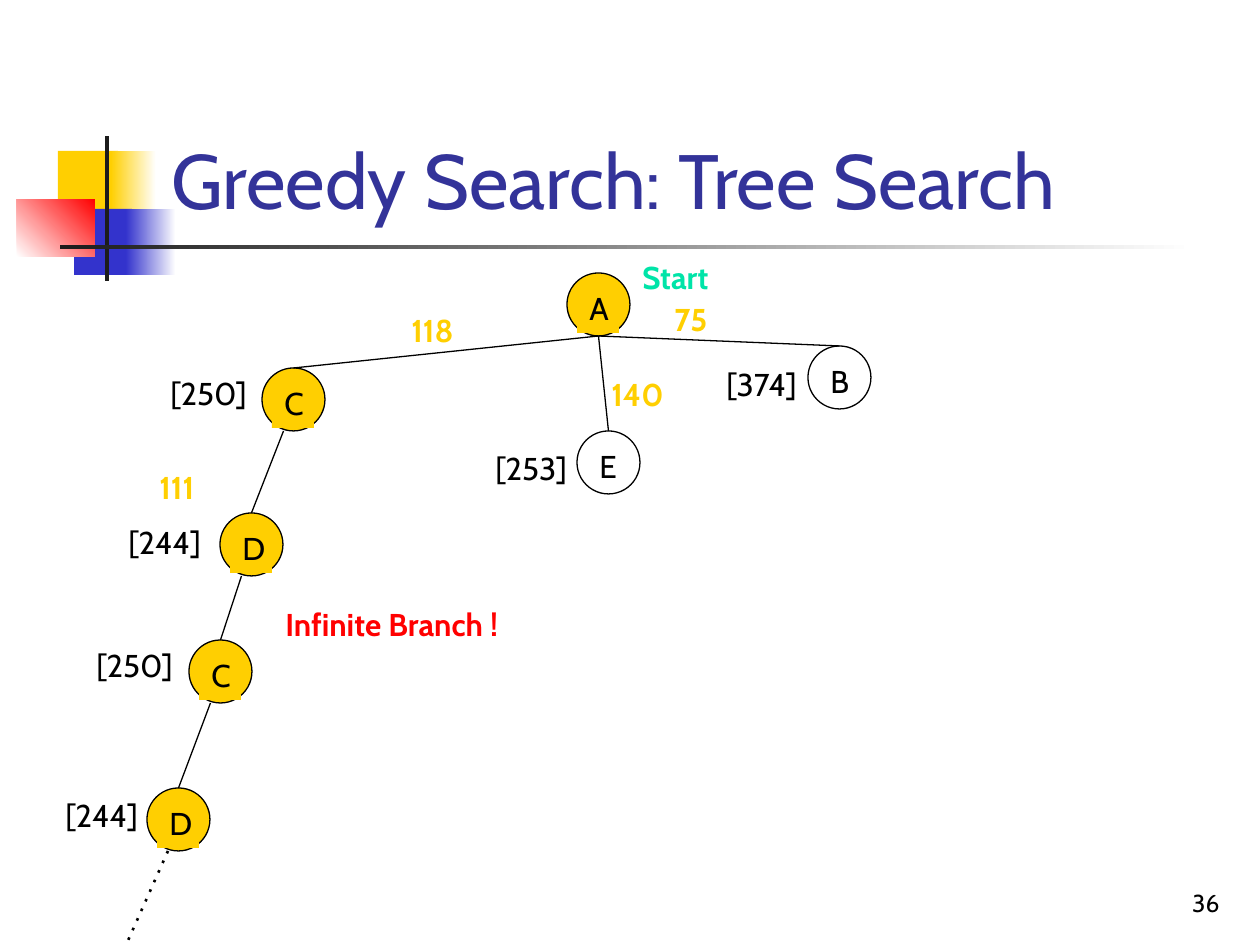
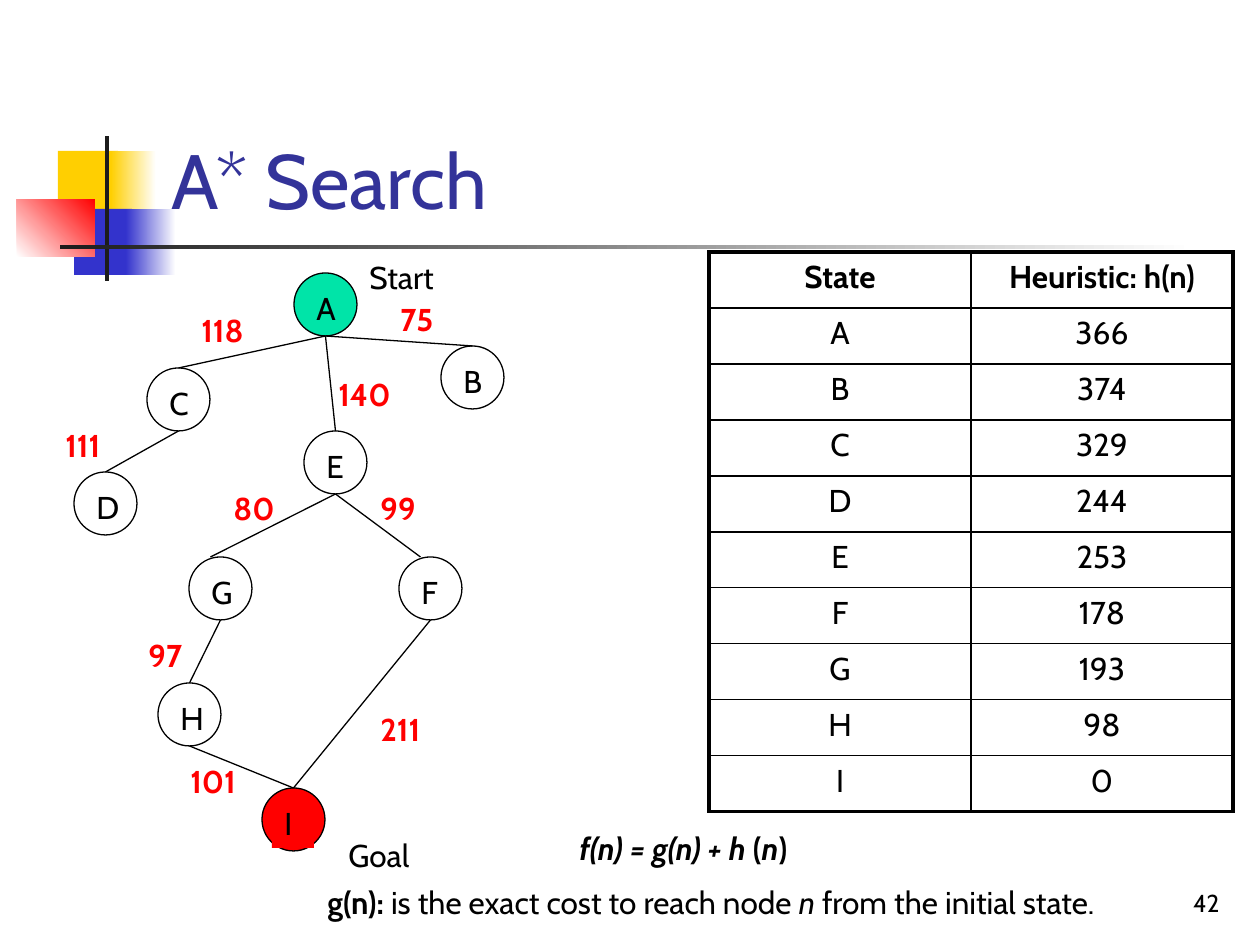
from pptx import Presentation
from pptx.dml.color import RGBColor
from pptx.enum.dml import MSO_LINE
from pptx.enum.shapes import MSO_CONNECTOR as Connector, MSO_SHAPE as Shape
from pptx.enum.text import MSO_ANCHOR as Anchor, PP_ALIGN as Align
from pptx.oxml.ns import qn
from pptx.oxml.xmlchemy import OxmlElement
from pptx.util import Pt

EMU_PER_PX = 914400 / 126
SLIDE_W, SLIDE_H = 1260, 945
FONT = "Cabin"

BLACK = RGBColor(0x00, 0x00, 0x00)
WHITE = RGBColor(0xFF, 0xFF, 0xFF)
GOLD = RGBColor(0xFF, 0xCF, 0x01)
BLUE = RGBColor(0x33, 0x33, 0xCC)
RED = RGBColor(0xFF, 0x00, 0x00)
GREEN = RGBColor(0x00, 0xE4, 0xA8)
CHARCOAL = RGBColor(0x1C, 0x1C, 0x1C)
TITLE_BLUE = RGBColor(0x33, 0x33, 0x99)

NODE_SIZE = 63
LABEL_INSET, LABEL_W, TEXT_H = 10, 42, 50

# Title decoration: box, start colour, end colour (None for plain), angle
DECORATION = [
    ((58, 151, 60, 66), GOLD, None, 0),
    ((111, 151, 45, 66), GOLD, WHITE, 0),
    ((74, 209, 58, 66), BLUE, None, 0),
    ((126, 209, 50, 66), BLUE, WHITE, 0),
    ((17, 199, 78, 58), WHITE, RED, 45),
    ((105, 136, 4, 145), CHARCOAL, None, 0),
    ((60, 245, 1134, 4), CHARCOAL, WHITE, 0),
]

# Greedy tree: the node name's first letter is its label
GREEDY_NODES = {
    "A": (567, 273), "B": (808, 346), "C": (262, 368), "E": (577, 431),
    "D": (220, 513), "C2": (189, 640), "D2": (147, 788),
}
GREEDY_FILLS = {name: GOLD for name in ("A", "C", "D", "C2", "D2")}
# Edge: parent, child, shift at the parent, shift at the child
GREEDY_EDGES = [
    ("A", "B", 0, 0), ("A", "E", 0, 0), ("A", "C", 0, 0),
    ("C", "D", -10, 0), ("D", "C2", -10, 0), ("C2", "D2", -10, 0),
]
GREEDY_COSTS = [("118", 399, 305), ("75", 662, 294), ("140", 599, 369),
                ("111", 147, 462)]
GREEDY_ESTIMATES = [
    ("[374]", 714, 359), ("[250]", 158, 368), ("[253]", 483, 443),
    ("[244]", 116, 517), ("[250]", 84, 640), ("[244]", 53, 790),
]

# A* graph
ASTAR_NODES = {
    "A": (294, 273), "B": (441, 346), "D": (74, 472), "C": (147, 368),
    "E": (304, 431), "F": (399, 557), "I": (262, 788), "G": (189, 557),
    "H": (158, 683),
}
ASTAR_FILLS = {"A": GREEN, "I": RED}
ASTAR_EDGES = [
    ("A", "B", 0, 0), ("A", "E", 0, 0), ("A", "C", 0, 0), ("C", "D", 0, 0),
    ("E", "F", 0, -10), ("E", "G", 0, -10), ("F", "I", 0, 0),
    ("G", "H", 0, 0), ("H", "I", 0, 0),
]
ASTAR_COSTS = [
    ("118", 189, 305), ("75", 388, 294), ("140", 326, 369),
    ("111", 53, 420), ("80", 221, 483), ("99", 368, 483),
    ("97", 136, 630), ("211", 368, 704), ("101", 178, 756),
]
HEURISTICS = [
    ("State", "Heuristic: h(n)"), ("A", "366"), ("B", "374"), ("C", "329"),
    ("D", "244"), ("E", "253"), ("F", "178"), ("G", "193"), ("H", "98"),
    ("I", "0"),
]


def px(length):
    return round(length * EMU_PER_PX)


def emu(box):
    return [px(length) for length in box]


def add_run(paragraph, text, size=18, color=BLACK, bold=False, italic=False):
    run = paragraph.add_run()
    run.text = text
    font = run.font
    font.name, font.size, font.bold, font.italic = FONT, Pt(size), bold, italic
    font.color.rgb = color


def add_text(slide, box, text, align=Align.LEFT, anchor=Anchor.TOP,
             fill=None, **style):
    text_box = slide.shapes.add_textbox(*emu(box))
    if fill is not None:
        text_box.fill.solid()
        text_box.fill.fore_color.rgb = fill
    frame = text_box.text_frame
    frame.word_wrap = True
    frame.vertical_anchor = anchor
    frame.paragraphs[0].alignment = align
    add_run(frame.paragraphs[0], text, **style)


def add_band(slide, box, start, end, angle):
    band = slide.shapes.add_shape(Shape.RECTANGLE, *emu(box))
    band.shadow.inherit = False
    band.line.fill.background()
    if end is None:
        band.fill.solid()
        band.fill.fore_color.rgb = start
        return
    band.fill.gradient()
    band.fill.gradient_angle = angle
    for stop, color in zip(band.fill.gradient_stops, (start, end)):
        stop.color.rgb = color


def add_base(prs, title, number):
    """Start a slide with the shared decoration, title and number."""
    slide = prs.slides.add_slide(prs.slide_layouts[6])
    for band in DECORATION:
        add_band(slide, *band)
    add_text(slide, (970, 861, 262, 63), number, Align.RIGHT, Anchor.BOTTOM,
             size=14)
    add_text(slide, (159, 29, 1074, 202), title, anchor=Anchor.BOTTOM,
             size=44, color=TITLE_BLUE)
    return slide


def add_node(slide, label, left, top, fill, plate):
    circle = slide.shapes.add_shape(
        Shape.OVAL, *emu((left, top, NODE_SIZE, NODE_SIZE)))
    circle.shadow.inherit = False
    circle.line.color.rgb = BLACK
    circle.line.width = Pt(0.75)
    if fill is None:
        circle.fill.background()
    else:
        circle.fill.solid()
        circle.fill.fore_color.rgb = fill
    add_text(slide, (left + LABEL_INSET, top + LABEL_INSET, LABEL_W, TEXT_H),
             label, fill=plate)


def add_edge(slide, start, end, width=0.75, dotted=False):
    edge = slide.shapes.add_connector(Connector.STRAIGHT, *emu(start + end))
    edge.line.color.rgb = BLACK
    edge.line.width = Pt(width)
    properties = edge.element.spPr
    if dotted:
        edge.line.dash_style = MSO_LINE.ROUND_DOT
        properties.find(qn("a:ln")).find(qn("a:prstDash")).set("val", "dot")
    properties.append(OxmlElement("a:effectLst"))


def add_tree(slide, nodes, fills, edges, plated):
    """Draw the nodes, then edges from each parent's foot to its child's top."""
    for name, (left, top) in nodes.items():
        fill = fills.get(name)
        add_node(slide, name[0], left, top, fill,
                 fill if name in plated else None)
    middle = NODE_SIZE / 2
    for parent, child, parent_shift, child_shift in edges:
        parent_x, parent_y = nodes[parent]
        child_x, child_y = nodes[child]
        add_edge(slide, (parent_x + middle + parent_shift, parent_y + NODE_SIZE),
                 (child_x + middle + child_shift, child_y))


def add_labels(slide, labels, **style):
    for text, left, top in labels:
        add_text(slide, (left, top, 116, TEXT_H), text, **style)


def set_border(cell, side, width):
    line = OxmlElement(f"a:ln{side}")
    line.set("w", str(Pt(width)))
    fill = OxmlElement("a:solidFill")
    color = OxmlElement("a:srgbClr")
    color.set("val", str(BLACK))
    fill.append(color)
    line.append(fill)
    cell._tc.get_or_add_tcPr().append(line)


def add_heuristics(slide, left, top, column_w, row_h):
    rows, columns = len(HEURISTICS), len(HEURISTICS[0])
    table = slide.shapes.add_table(
        rows, columns,
        *emu((left, top, column_w * columns, row_h * rows))).table
    table.first_row = table.horz_banding = False
    for column in table.columns:
        column.width = px(column_w)
    for r, values in enumerate(HEURISTICS):
        table.rows[r].height = px(row_h)
        for c, value in enumerate(values):
            cell = table.cell(r, c)
            outer_sides = {"L": c == 0, "R": c == columns - 1,
                           "T": r == 0, "B": r == rows - 1}
            for side, outer in outer_sides.items():
                set_border(cell, side, 2.25 if outer else 1)
            cell.fill.background()
            paragraph = cell.text_frame.paragraphs[0]
            paragraph.alignment = Align.CENTER
            add_run(paragraph, value, bold=r == 0)


def add_formula(slide):
    frame = slide.shapes.add_textbox(*emu((315, 823, 914, 164))).text_frame
    frame.word_wrap = True
    formula = frame.paragraphs[0]
    formula._p.get_or_add_pPr().set("marL", str(px(252)))
    add_run(formula, "f(n) = g(n) + h ", bold=True, italic=True)
    add_run(formula, "(", bold=True)
    add_run(formula, "n", bold=True, italic=True)
    add_run(formula, ")", bold=True)
    meaning = frame.add_paragraph()
    meaning.space_before = Pt(9)
    add_run(meaning, "g(n): ", bold=True)
    add_run(meaning, "is the exact cost to reach node ")
    add_run(meaning, "n", italic=True)
    add_run(meaning, " from the initial state.")


def build_greedy(prs):
    slide = add_base(prs, "Greedy Search: Tree Search", "36")
    add_tree(slide, GREEDY_NODES, GREEDY_FILLS, GREEDY_EDGES, GREEDY_FILLS)
    add_edge(slide, (168, 851), (126, 945), width=1.5, dotted=True)
    add_labels(slide, GREEDY_COSTS, color=GOLD, bold=True)
    add_labels(slide, GREEDY_ESTIMATES)
    add_labels(slide, [("Start", 630, 252)], color=GREEN, bold=True)
    add_text(slide, (273, 599, 315, TEXT_H), "Infinite Branch !",
             color=RED, bold=True)


def build_astar(prs):
    slide = add_base(prs, "A* Search", "42")
    add_formula(slide)
    add_heuristics(slide, 709, 252, 262, 56)
    add_tree(slide, ASTAR_NODES, ASTAR_FILLS, ASTAR_EDGES, {"I"})
    add_labels(slide, ASTAR_COSTS, color=RED, bold=True)
    add_labels(slide, [("Start", 357, 252), ("Goal", 336, 830)])


def main():
    prs = Presentation()
    prs.slide_width, prs.slide_height = px(SLIDE_W), px(SLIDE_H)
    build_greedy(prs)
    build_astar(prs)
    prs.save("out.pptx")


if __name__ == "__main__":
    main()
